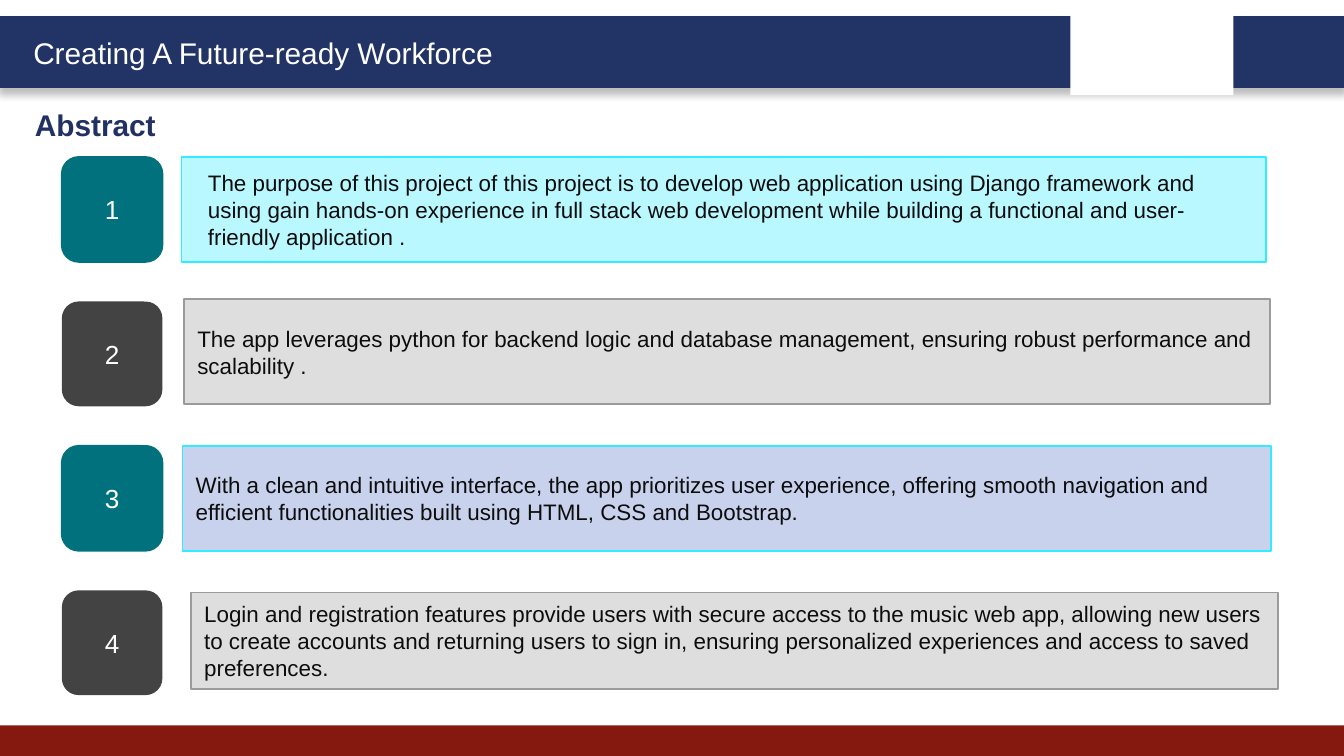
from dataclasses import dataclass

import pptx
import pptx.dml.color
import pptx.enum.shapes
import pptx.enum.text
import pptx.oxml
import pptx.oxml.ns
import pptx.util
from pptx.dml.color import RGBColor
from pptx.enum.shapes import MSO_SHAPE
from pptx.enum.text import MSO_ANCHOR, PP_ALIGN
from pptx.util import Cm, Pt

NAVY = RGBColor(0x22, 0x33, 0x66)
HEADING_NAVY = RGBColor(0x21, 0x31, 0x63)
MAROON = RGBColor(0x85, 0x19, 0x10)
WHITE = RGBColor(0xFF, 0xFF, 0xFF)
INK = RGBColor(0x0D, 0x0D, 0x0D)
TEAL = RGBColor(0x00, 0x71, 0x7D)
CHARCOAL = RGBColor(0x43, 0x43, 0x43)
CYAN = RGBColor(0x31, 0xEB, 0xFF)
PALE_CYAN = RGBColor(0xBA, 0xF8, 0xFF)
PALE_BLUE = RGBColor(0xC9, 0xD2, 0xED)
GREY = RGBColor(0x9B, 0x9B, 0x9B)
PALE_GREY = RGBColor(0xDE, 0xDE, 0xDE)

FONT = "Arial"
BADGE_LEFT, BADGE_TOP, BADGE_PITCH = 1.17, 2.97, 2.73
BADGE_WIDTH, BADGE_HEIGHT = 1.9, 1.98


@dataclass(frozen=True)
class Box:
    """Position and size in centimetres."""
    left: float
    top: float
    width: float
    height: float

    def lengths(self) -> tuple:
        return Cm(self.left), Cm(self.top), Cm(self.width), Cm(self.height)


@dataclass(frozen=True)
class Point:
    text: str
    box: Box
    fill: RGBColor
    border: RGBColor
    badge_fill: RGBColor
    badge_border: RGBColor | None = None
    indent: float = 0


POINTS = [
    Point("The purpose of this project of this project is to develop web application "
          "using Django framework and using gain hands-on experience in full stack web "
          "development while building a functional and user-friendly application .",
          Box(3.43, 2.97, 20.5, 1.98), PALE_CYAN, CYAN, TEAL, TEAL, indent=0.25),
    Point("The app leverages python for backend logic and database management, "
          "ensuring robust performance and scalability .",
          Box(3.48, 5.66, 20.52, 1.98), PALE_GREY, GREY, CHARCOAL),
    Point("With a clean and intuitive interface, the app prioritizes user experience, "
          "offering smooth navigation and efficient functionalities built using HTML, "
          "CSS and Bootstrap.",
          Box(3.45, 8.43, 20.57, 1.98), PALE_BLUE, CYAN, TEAL, TEAL),
    Point("Login and registration features provide users with secure access to the "
          "music web app, allowing new users to create accounts and returning users to "
          "sign in, ensuring personalized experiences and access to saved preferences.",
          Box(3.61, 11.2, 20.55, 1.83), PALE_GREY, GREY, CHARCOAL),
]


def add_block(slide, kind: MSO_SHAPE, box: Box, fill: RGBColor,
              border: RGBColor | None = None, border_width: float = 1):
    block = slide.shapes.add_shape(kind, *box.lengths())
    block.shadow.inherit = False
    block.fill.solid()
    block.fill.fore_color.rgb = fill
    if border is None:
        block.line.fill.background()
    else:
        block.line.color.rgb = border
        block.line.width = Pt(border_width)
    return block


def write(holder, text: str, size: float, color: RGBColor, bold: bool = False,
          align: PP_ALIGN = PP_ALIGN.LEFT, anchor: MSO_ANCHOR = MSO_ANCHOR.TOP):
    frame = holder.text_frame
    frame.text = text
    frame.word_wrap = True
    frame.vertical_anchor = anchor
    paragraph = frame.paragraphs[0]
    paragraph.alignment = align
    font = paragraph.runs[0].font
    font.name, font.size, font.bold = FONT, Pt(size), bold
    font.color.rgb = color
    return paragraph


def add_title(slide, box: Box, text: str, color: RGBColor, bold: bool = False) -> None:
    write(slide.shapes.add_textbox(*box.lengths()), text, 16, color, bold)


def add_drop_shadow(block) -> None:
    effects = block._element.spPr.find(pptx.oxml.ns.qn("a:effectLst"))
    effects.append(pptx.oxml.parse_xml(
        f'<a:outerShdw {pptx.oxml.ns.nsdecls("a")} blurRad="{Pt(4)}" dist="{Pt(3)}" '
        'dir="5400000" algn="t" rotWithShape="0"><a:srgbClr val="000000">'
        '<a:alpha val="25000"/></a:srgbClr></a:outerShdw>'))


def add_point(slide, index: int, point: Point) -> None:
    panel = add_block(slide, MSO_SHAPE.RECTANGLE, point.box, point.fill, point.border)
    paragraph = write(panel, point.text, 12, INK, anchor=MSO_ANCHOR.MIDDLE)
    if point.indent:
        paragraph._p.get_or_add_pPr().set("marL", str(Cm(point.indent)))

    badge_box = Box(BADGE_LEFT, BADGE_TOP + index * BADGE_PITCH, BADGE_WIDTH, BADGE_HEIGHT)
    badge = add_block(slide, MSO_SHAPE.ROUNDED_RECTANGLE, badge_box,
                      point.badge_fill, point.badge_border)
    write(badge, str(index + 1), 14, WHITE, align=PP_ALIGN.CENTER, anchor=MSO_ANCHOR.MIDDLE)


def main() -> None:
    deck = pptx.Presentation()
    deck.slide_width, deck.slide_height = Cm(25.4), Cm(14.29)
    slide = deck.slides.add_slide(deck.slide_layouts[6])

    # Header band, footer band and the white panel in the header
    header = add_block(slide, MSO_SHAPE.RECTANGLE, Box(0, 0.33, 25.4, 1.3), NAVY, NAVY, 2)
    add_drop_shadow(header)
    add_block(slide, MSO_SHAPE.RECTANGLE, Box(0, 13.71, 25.4, 0.58), MAROON)
    add_block(slide, MSO_SHAPE.RECTANGLE, Box(20.23, 0.18, 3.08, 1.62), WHITE)

    # Titles
    add_title(slide, Box(0.38, 0.53, 9.6, 0.94), "Creating A Future-ready Workforce", WHITE)
    add_title(slide, Box(0.41, 1.9, 12.29, 0.94), "Abstract", HEADING_NAVY, bold=True)

    # Numbered points
    for index, point in enumerate(POINTS):
        add_point(slide, index, point)

    deck.save("out.pptx")


if __name__ == "__main__":
    main()
